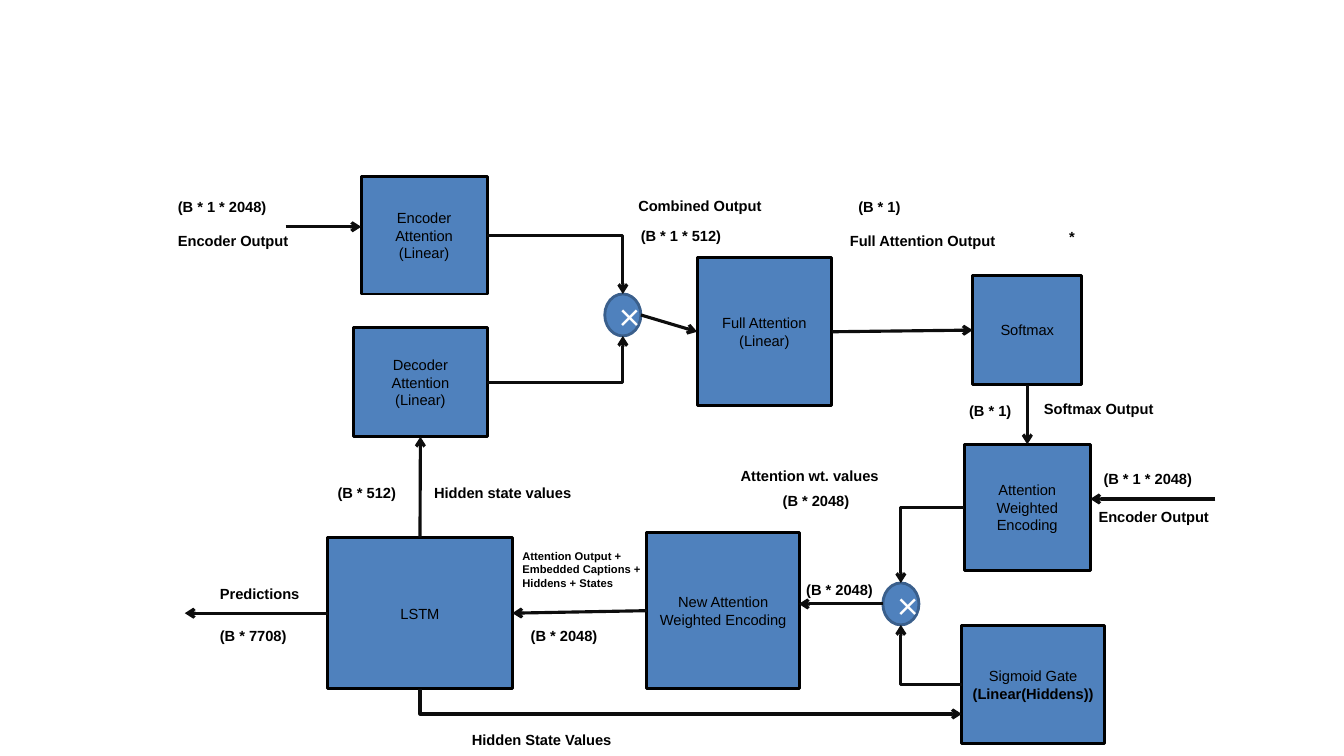
from pptx import Presentation
from pptx.dml.color import RGBColor
from pptx.enum.shapes import MSO_CONNECTOR, MSO_SHAPE
from pptx.enum.text import MSO_ANCHOR, MSO_AUTO_SIZE, PP_ALIGN
from pptx.oxml.ns import qn
from pptx.util import Inches, Pt
from lxml import etree

RECTANGLE, OVAL = MSO_SHAPE.RECTANGLE, MSO_SHAPE.OVAL
STRAIGHT, ELBOW = MSO_CONNECTOR.STRAIGHT, MSO_CONNECTOR.ELBOW
MIDDLE, CENTER, LEFT = MSO_ANCHOR.MIDDLE, PP_ALIGN.CENTER, PP_ALIGN.LEFT
FIT_TEXT = MSO_AUTO_SIZE.SHAPE_TO_FIT_TEXT

COLUMNS, ROWS = 160, 90
BLANK_LAYOUT = 6
THEME = {
    "fill": "4F81BD", "edge": "000000", "ring": "3A5F8C", "arrow": "0D0D0D",
    "edge_width": 2, "arrow_width": 2.25,
    "body": {"name": "Arial", "size": 10.5, "color": "000000", "bold": False},
    "label": {"name": "Arial", "size": 10.5, "color": "000000", "bold": True},
    "small": {"name": "Arial", "size": 8, "color": "000000", "bold": True},
    "sign": {"name": "Calibri", "size": 28, "color": "FFFFFF", "bold": False},
}

BLOCKS = {
    "encoder": ((43, 21, 15, 14), [("Encoder Attention", "body"), ("(Linear)", "body")]),
    "full": ((83, 30.7, 16, 17.6), [("Full Attention", "body"), ("(Linear)", "body")]),
    "decoder": ((42.1, 39, 15.9, 13), [("Decoder Attention", "body"), ("(Linear)", "body")]),
    "softmax": ((115.8, 32.8, 13, 13), [("Softmax", "body")]),
    "weighted": ((114.8, 52.9, 15, 15), [("Attention Weighted Encoding", "body")]),
    "sigmoid": ((114.5, 74.5, 17, 14), [("Sigmoid Gate", "body"), ("(Linear(Hiddens))", "label")]),
    "new": ((77, 63.4, 18.2, 18.6), [("New Attention Weighted Encoding", "body")]),
    "lstm": ((39, 64, 22, 18), [("LSTM", "body")]),
}
PRODUCTS = {
    "combine": ((72, 35, 4.3, 5), [("×", "sign")]),
    "gate": ((105.1, 69.4, 4.3, 5), [("×", "sign")]),
}
LABEL_HEIGHT = 3.4
LABELS = [
    ("Encoder Output", 20, 27, 19),
    ("Full Attention Output", 100, 27, 22),
    ("Combined Output", 74.8, 22.9, 19),
    ("Softmax Output", 123.1, 47, 19),
    ("Attention wt. values", 87, 55, 22),
    ("Hidden state values", 50.5, 57, 19),
    ("(B * 1 * 2048)", 20, 23, 19),
    ("(B * 512)", 39, 57, 19),
    ("(B * 1 * 512)", 75.1, 26.4, 19),
    ("(B * 1)", 101, 23, 19),
    ("(B * 1)", 114.2, 47.3, 20),
    ("(B * 2048)", 92, 58, 19),
    ("*", 126.1, 26.5, 22),
    ("Hidden State Values", 55, 86.4, 21),
    ("Encoder Output", 129.6, 59.9, 19),
    ("(B * 1 * 2048)", 130.2, 55.4, 21),
    ("(B * 2048)", 94.8, 68.6, 19),
    ("(B * 2048)", 62, 74, 19),
    ("Predictions", 25, 69, 19),
    ("(B * 7708)", 25, 74, 19),
]
CAPTION = ("Attention Output + Embedded Captions + Hiddens + States", 61, 64.8, 19, 6)

STRAIGHT_ARROWS = [
    (("full", "right"), ("softmax", "left")),
    (("softmax", "bottom"), ("weighted", "top")),
    (("new", "left"), ("lstm", "right")),
    (("lstm", "top"), ("decoder", "bottom")),
    (("combine", "right"), ("full", "left")),
    (("gate", "left"), (95.1, 71.9)),
    (("lstm", "left"), (22, 73)),
    ((34, 27), (43, 27)),
    ((144.7, 59.4), (129.8, 59.4)),
]
BENT_ARROWS = [
    (("encoder", "right"), ("combine", "top"), "tailEnd"),
    (("decoder", "right"), ("combine", "bottom"), "tailEnd"),
    (("weighted", "left"), ("gate", "top"), "tailEnd"),
    (("sigmoid", "left"), ("gate", "bottom"), "tailEnd"),
    ((114.5, 85), ("lstm", "bottom"), "headEnd"),
]
SIDES = {"left": (0, 0.5), "right": (1, 0.5), "top": (0.5, 0), "bottom": (0.5, 1)}

deck = Presentation()
deck.slide_width, deck.slide_height = Inches(13.33), Inches(7.5)
page = deck.slides.add_slide(deck.slide_layouts[BLANK_LAYOUT])
cell_width, cell_height = deck.slide_width / COLUMNS, deck.slide_height / ROWS


def place(*lengths):
    return [round(length * (cell_height if index % 2 else cell_width))
            for index, length in enumerate(lengths)]


def anchor(end):
    if end[0] not in PLACES:
        return place(*end)
    left, top, width, height = PLACES[end[0]]
    across, down = SIDES[end[1]]
    return place(left + width * across, top + height * down)


def write(frame, lines, align):
    frame.word_wrap = True
    for index, (text, style) in enumerate(lines):
        para = frame.paragraphs[0] if index == 0 else frame.add_paragraph()
        para.alignment = align
        span = para.add_run()
        span.text = text
        for key, value in THEME[style].items():
            if key == "color":
                span.font.color.rgb = RGBColor.from_string(value)
            else:
                setattr(span.font, key, Pt(value) if key == "size" else value)


def draw_line(line, color, width):
    line.color.rgb = RGBColor.from_string(THEME[color])
    line.width = Pt(THEME[width])


def add_node(kind, edge, spot, lines):
    node = page.shapes.add_shape(kind, *place(*spot))
    node.shadow.inherit = False
    node.fill.solid()
    node.fill.fore_color.rgb = RGBColor.from_string(THEME["fill"])
    draw_line(node.line, edge, "edge_width")
    node.text_frame.vertical_anchor = MIDDLE
    write(node.text_frame, lines, CENTER)


def add_label(text, left, top, width, height=LABEL_HEIGHT, style="label"):
    box = page.shapes.add_textbox(*place(left, top, width, height))
    write(box.text_frame, [(text, style)], LEFT)
    box.text_frame.auto_size = FIT_TEXT


def add_arrow(kind, start, finish, head="tailEnd"):
    arrow = page.shapes.add_connector(kind, *anchor(start), *anchor(finish))
    draw_line(arrow.line, "arrow", "arrow_width")
    properties = arrow.element.spPr
    if kind == ELBOW:
        properties.find(qn("a:prstGeom")).set("prst", "bentConnector2")
    etree.SubElement(properties.find(qn("a:ln")), qn(f"a:{head}"), type="arrow")
    etree.SubElement(properties, qn("a:effectLst"))


PLACES = {name: spot for name, (spot, lines) in (BLOCKS | PRODUCTS).items()}
for spot, lines in BLOCKS.values():
    add_node(RECTANGLE, "edge", spot, lines)
for spot, lines in PRODUCTS.values():
    add_node(OVAL, "ring", spot, lines)
for start, finish in STRAIGHT_ARROWS:
    add_arrow(STRAIGHT, start, finish)
for start, finish, head in BENT_ARROWS:
    add_arrow(ELBOW, start, finish, head)
for label in LABELS:
    add_label(*label)
add_label(*CAPTION, style="small")

deck.save("out.pptx")
